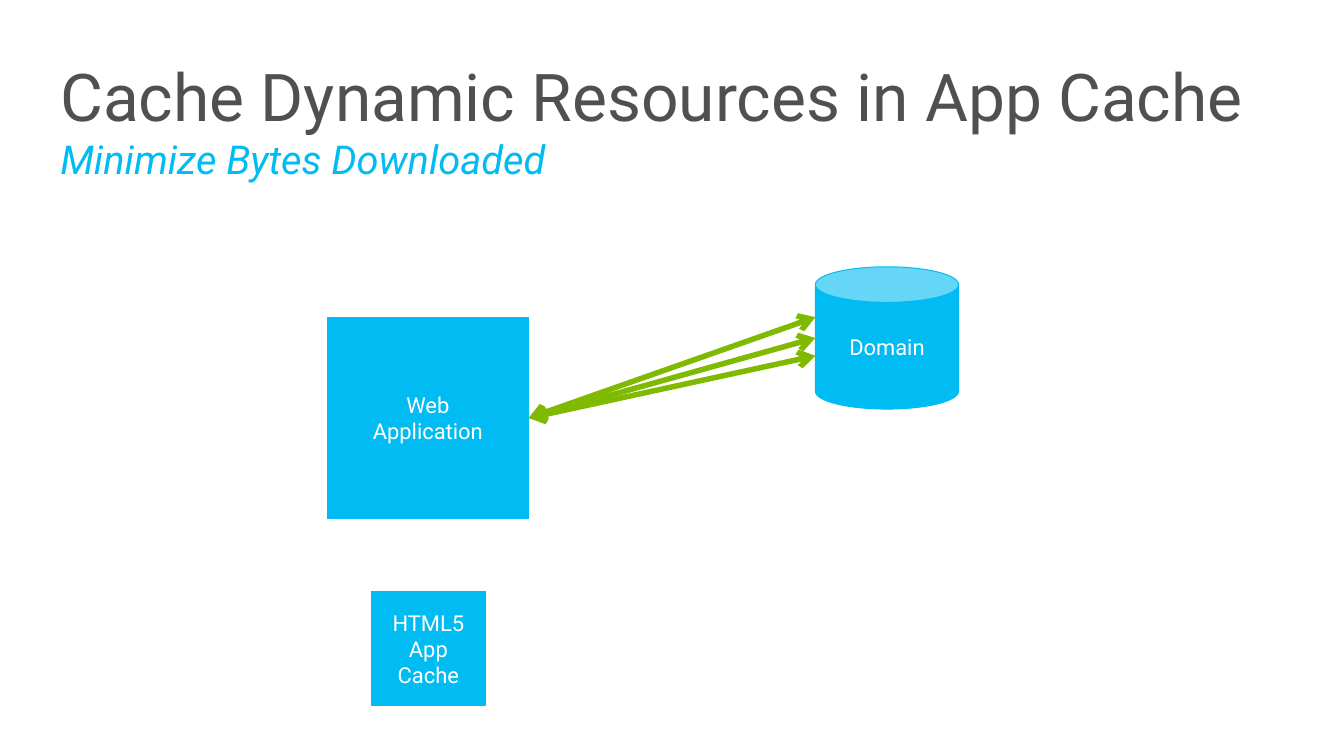
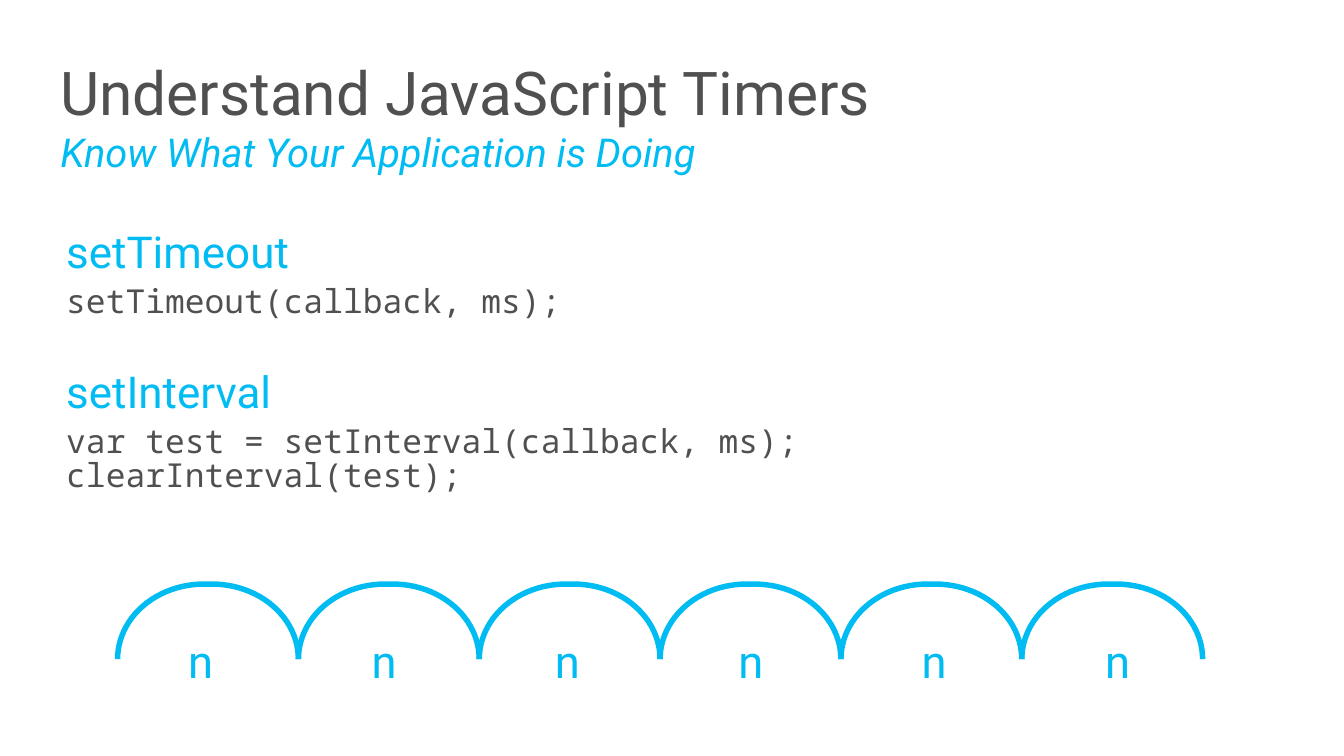
from lxml.etree import SubElement
from pptx import Presentation
from pptx.dml.color import RGBColor
from pptx.enum.shapes import MSO_CONNECTOR, MSO_SHAPE
from pptx.enum.text import MSO_ANCHOR, MSO_AUTO_SIZE, PP_ALIGN
from pptx.oxml.ns import qn
from pptx.util import Inches, Pt

BLUE = RGBColor(0x00, 0xBC, 0xF2)
GREEN = RGBColor(0x7F, 0xBA, 0x00)
GRAY = RGBColor(0x50, 0x50, 0x50)
WHITE = RGBColor(0xFF, 0xFF, 0xFF)
SANS = "Roboto"
MONO = "Noto Sans Mono"


def style(font, size, color, name=SANS, italic=False):
    font.name = name
    font.size = Pt(size)
    font.color.rgb = color
    font.italic = italic


def set_insets(frame, side, top):
    frame.margin_left = frame.margin_right = Inches(side)
    frame.margin_top = frame.margin_bottom = Inches(top)


def add_titled_slide(deck, heading, subtitle, size):
    slide = deck.slides.add_slide(deck.slide_layouts[5])
    title = slide.shapes.title
    title.left, title.top = Inches(0.61), Inches(0.51)
    title.width, title.height = Inches(12.24), Inches(0.81)
    frame = title.text_frame
    frame.word_wrap = True
    frame.auto_size = MSO_AUTO_SIZE.NONE
    frame.vertical_anchor = MSO_ANCHOR.TOP
    set_insets(frame, 0, 0.05)
    frame.text = f"{heading}\v{subtitle}"
    paragraph = frame.paragraphs[0]
    paragraph.alignment = PP_ALIGN.LEFT
    heading_run, subtitle_run = paragraph.runs
    style(heading_run.font, size, GRAY)
    style(subtitle_run.font, 29, BLUE, italic=True)
    return slide


def add_node(slide, kind, label, left, top, width, height):
    node = slide.shapes.add_shape(
        kind, Inches(left), Inches(top), Inches(width), Inches(height))
    node.shadow.inherit = False
    node.fill.solid()
    node.fill.fore_color.rgb = BLUE
    node.line.color.rgb = BLUE
    node.line.width = Pt(0.75)
    frame = node.text_frame
    frame.word_wrap = True
    frame.vertical_anchor = MSO_ANCHOR.MIDDLE
    frame.text = label
    paragraph = frame.paragraphs[0]
    paragraph.alignment = PP_ALIGN.CENTER
    for run in paragraph.runs:
        style(run.font, 16, WHITE)
    return node


def add_request(slide, source, end_x, end_y):
    request = slide.shapes.add_connector(
        MSO_CONNECTOR.STRAIGHT, source.left + source.width,
        source.top + source.height // 2, end_x, end_y)
    request.begin_connect(source, 3)
    request.line.color.rgb = GREEN
    request.line.width = Pt(4)
    outline = request.line._get_or_add_ln()
    for end in ("a:headEnd", "a:tailEnd"):
        SubElement(outline, qn(end), type="arrow")
    SubElement(request._element.spPr, qn("a:effectLst"))


def add_cache_diagram(slide, left, top):
    add_node(slide, MSO_SHAPE.RECTANGLE, "HTML5\vApp\vCache",
             left + 0.45, top + 3.29, 1.15, 1.15)
    application = add_node(slide, MSO_SHAPE.RECTANGLE, "Web\vApplication",
                           left, top + 0.51, 2.04, 2.04)
    domain = add_node(slide, MSO_SHAPE.CAN, "Domain",
                      left + 4.94, top, 1.45, 1.44)
    for drop in (0.72, 0.51, 0.9):
        add_request(slide, application, domain.left, domain.top + Inches(drop))


def add_timer_syntax(slide, left, top, width, height):
    syntax = slide.shapes.add_textbox(
        Inches(left), Inches(top), Inches(width), Inches(height))
    frame = syntax.text_frame
    frame.word_wrap = True
    set_insets(frame, 0.2, 0.2)
    timers = (
        ("setTimeout", "setTimeout(callback, ms);"),
        ("setInterval", "var test = setInterval(callback, ms);\vclearInterval(test);"),
    )
    frame.text = "\n".join(name for name, _ in timers)
    for index, (name, code) in enumerate(timers):
        heading = frame.paragraphs[0] if index == 0 else frame.add_paragraph()
        heading.text = name
        if index:
            heading.space_before = Pt(32)
        usage = frame.paragraphs[1] if index == 0 else frame.add_paragraph()
        usage.text = code
        usage.space_before = Pt(6.5)
        usage.line_spacing = 0.87
        for run in heading.runs:
            style(run.font, 32, BLUE)
        for run in usage.runs:
            style(run.font, 24, GRAY, MONO)


def add_interval_arc(slide, left, top, span, rise):
    inset = (span - rise) / 2
    arc = slide.shapes.add_shape(
        MSO_SHAPE.RIGHT_BRACKET, Inches(left + inset), Inches(top - inset),
        Inches(rise), Inches(span))
    arc.rotation = 270
    arc.adjustments[0] = 1.15
    arc.shadow.inherit = False
    arc.fill.background()
    arc.line.color.rgb = BLUE
    arc.line.width = Pt(4)


def add_interval_label(slide, left, top):
    label = slide.shapes.add_textbox(
        Inches(left), Inches(top), Inches(0.94), Inches(0.56))
    frame = label.text_frame
    frame.word_wrap = True
    set_insets(frame, 0, 0)
    frame.text = "n"
    paragraph = frame.paragraphs[0]
    paragraph.alignment = PP_ALIGN.CENTER
    style(paragraph.runs[0].font, 33, BLUE)


def add_interval_timeline(slide, left, top, count=6, span=1.83):
    for index in range(count):
        add_interval_arc(slide, left + index * span, top, span, 0.76)
    label_pitch = 9.28 / (count - 1)
    for index in range(count):
        add_interval_label(slide, left + 0.37 + index * label_pitch, top + 0.5)


def main():
    deck = Presentation()
    deck.slide_width, deck.slide_height = Inches(13.6), Inches(7.65)

    cache_slide = add_titled_slide(
        deck, "Cache Dynamic Resources in App Cache",
        "Minimize Bytes Downloaded", 48)
    add_cache_diagram(cache_slide, 3.31, 2.7)

    timer_slide = add_titled_slide(
        deck, "Understand JavaScript Timers",
        "Know What Your Application is Doing", 44)
    add_timer_syntax(timer_slide, 0.47, 2.07, 12.92, 3.25)
    add_interval_timeline(timer_slide, 1.19, 5.91)

    deck.save("out.pptx")


if __name__ == "__main__":
    main()
